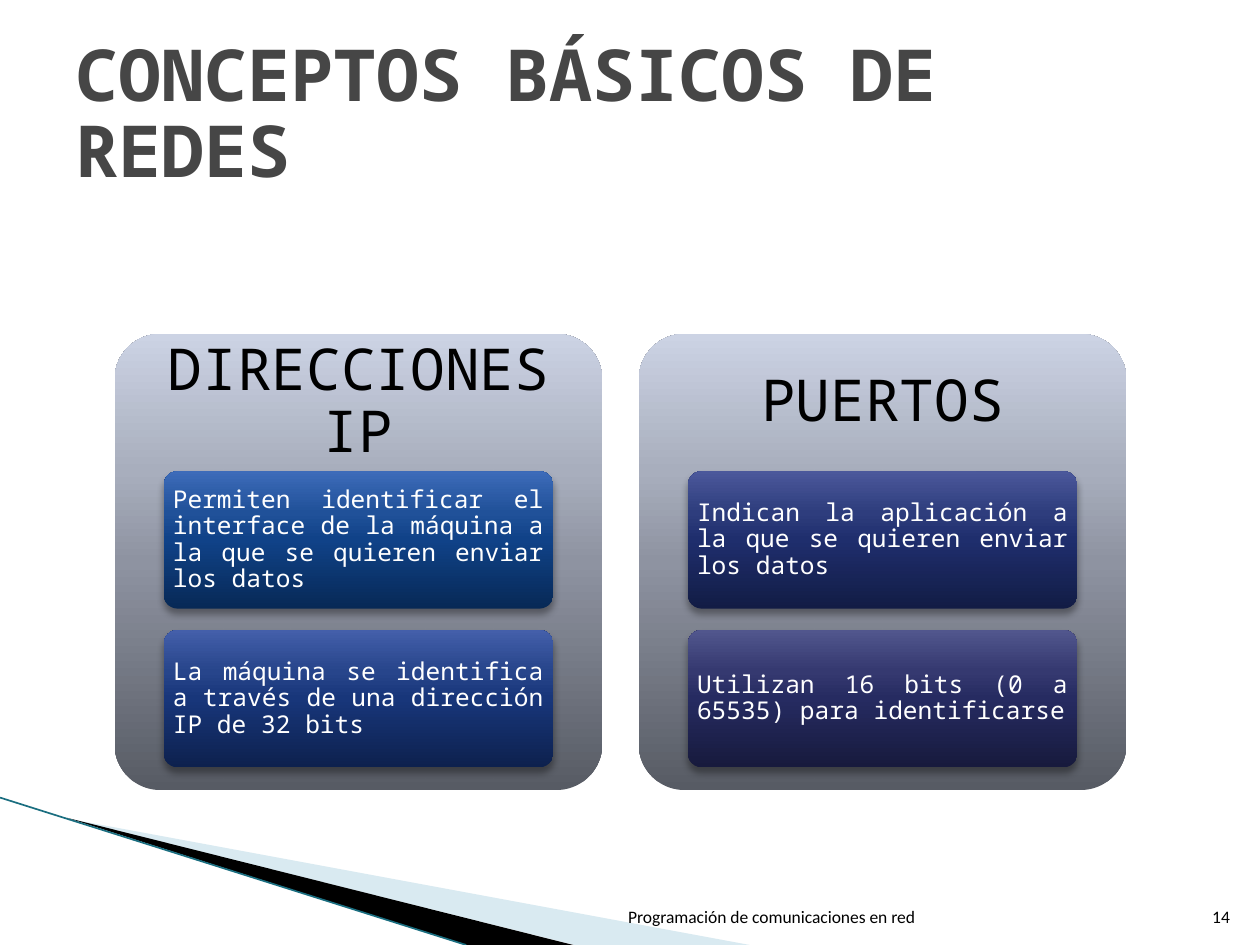
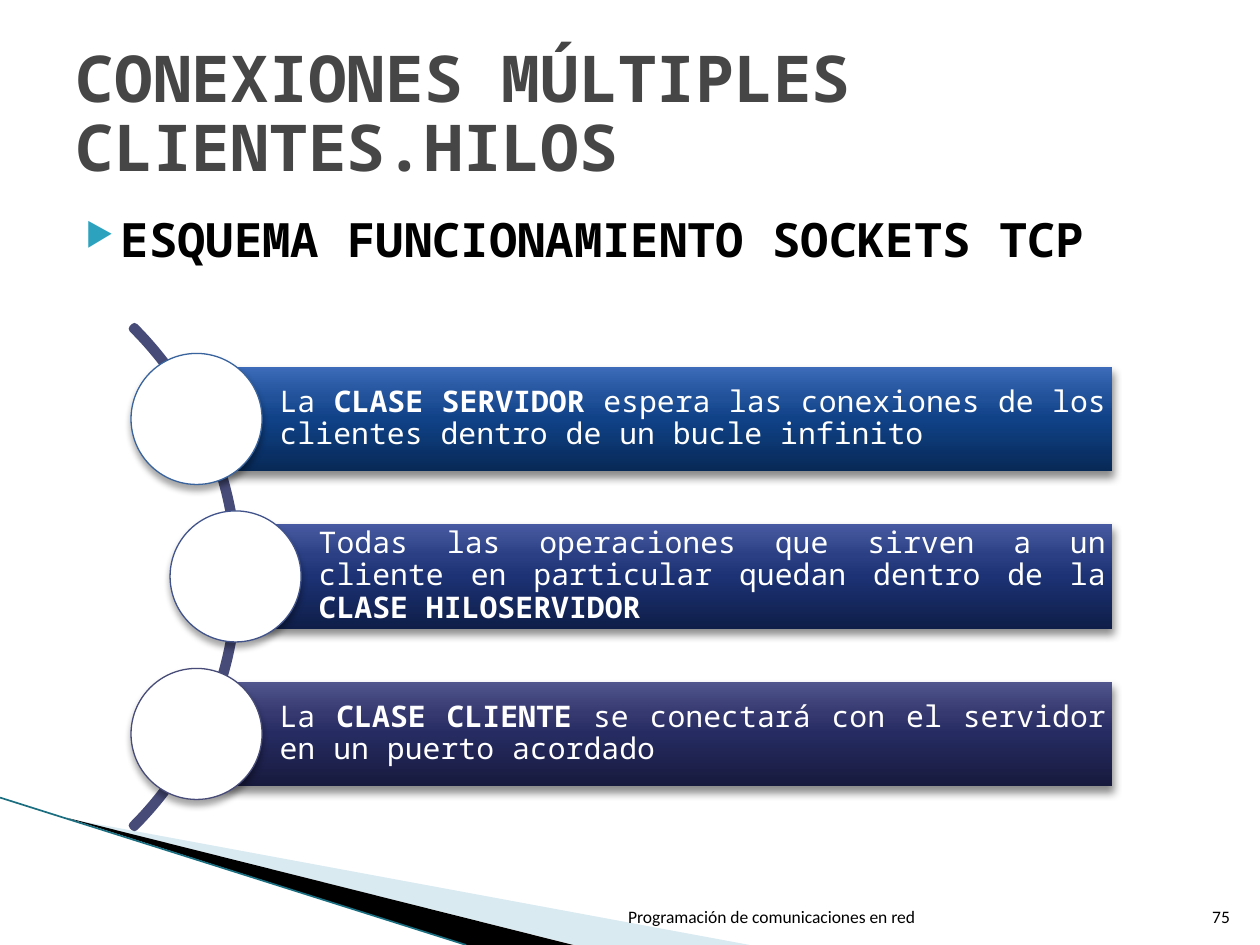
from typing import NamedTuple, Optional

from lxml.etree import SubElement
from pptx import Presentation
from pptx.dml.color import RGBColor
from pptx.enum.shapes import MSO_CONNECTOR, MSO_SHAPE
from pptx.enum.text import MSO_ANCHOR, MSO_AUTO_SIZE, PP_ALIGN
from pptx.oxml.ns import qn
from pptx.util import Inches, Pt

# Grid: 100 columns by 75 rows
SLIDE_WIDTH, SLIDE_HEIGHT = Inches(10), Inches(7.5)
COLUMN, ROW = SLIDE_WIDTH / 100, SLIDE_HEIGHT / 75

MONO, SANS = "Noto Sans Mono", "Calibri"
BLACK = RGBColor(0x00, 0x00, 0x00)
WHITE = RGBColor(0xFF, 0xFF, 0xFF)
TITLE_GRAY = RGBColor(0x46, 0x46, 0x46)
BULLET_TEAL = RGBColor(0x2D, 0xA2, 0xBF)
BAND_BLUE = RGBColor(0xA0, 0xCB, 0xDC)
BAND_EDGE = RGBColor(0x1A, 0x6E, 0x80)
ARC_VIOLET = RGBColor(0x47, 0x4B, 0x78)
RING_BLUE = RGBColor(0x39, 0x63, 0x9D)
RING_INDIGO = RGBColor(0x41, 0x53, 0x8A)

# Gradients run from the bottom edge to the top edge
STOP_POSITIONS = (0, 50, 70, 100)


def gradient(*colors: str) -> tuple[RGBColor, ...]:
    return tuple(RGBColor.from_string(color) for color in colors)


PANEL_GRAY = gradient("575B64", "8E93A1", "A8AEBD", "CCD3E4")
BLUE = gradient("072956", "104288", "205199", "3D6BB9")
ROYAL = gradient("0D214E", "18367A", "27458B", "445FAA")
INDIGO = gradient("0F1E49", "1C3274", "2B4084", "485BA2")
NAVY = gradient("121C45", "1F2E6D", "2E3D7D", "4B589B")
VIOLET = gradient("171A3D", "262B61", "353970", "51568D")


class Box(NamedTuple):
    """Place on the grid, in columns and rows."""
    left: float
    top: float
    width: float
    height: float

    def emu(self) -> tuple[int, int, int, int]:
        return (round(self.left * COLUMN), round(self.top * ROW),
                round(self.width * COLUMN), round(self.height * ROW))


class TextStyle(NamedTuple):
    size: float
    color: RGBColor
    alignment: PP_ALIGN
    anchor: MSO_ANCHOR
    font: str = MONO
    bold: Optional[bool] = None
    line_spacing: Optional[float] = None
    insets: tuple[float, float, float, float] = (0.1, 0.05, 0.1, 0.05)


class Shadow(NamedTuple):
    opacity: int
    blur: float
    distance: float


class Run(NamedTuple):
    text: str
    bold: bool = False


class Card(NamedTuple):
    text: str
    colors: tuple[RGBColor, ...]


class Panel(NamedTuple):
    heading: str
    cards: tuple[Card, ...]


class Step(NamedTuple):
    runs: tuple[Run, ...]
    colors: tuple[RGBColor, ...]
    ring: RGBColor
    left: float


TITLE_STYLE = TextStyle(41, TITLE_GRAY, PP_ALIGN.LEFT, MSO_ANCHOR.MIDDLE,
                        bold=True, line_spacing=0.88)
FOOTER_STYLE = TextStyle(10, BLACK, PP_ALIGN.RIGHT, MSO_ANCHOR.BOTTOM, SANS)
BODY_STYLE = TextStyle(27, BLACK, PP_ALIGN.JUSTIFY, MSO_ANCHOR.TOP, bold=True)
HEADING_STYLE = TextStyle(33, BLACK, PP_ALIGN.CENTER, MSO_ANCHOR.MIDDLE,
                          line_spacing=0.9, insets=(0.14,) * 4)
CARD_STYLE = TextStyle(14, WHITE, PP_ALIGN.JUSTIFY, MSO_ANCHOR.MIDDLE,
                       line_spacing=0.9, insets=(0.04, 0.03, 0.04, 0.03))
STEP_STYLE = TextStyle(17, WHITE, PP_ALIGN.JUSTIFY, MSO_ANCHOR.MIDDLE,
                       line_spacing=0.9, insets=(0.66, 0.05, 0.05, 0.05))
SOFT_SHADOW = Shadow(35, 4, 3)
BAR_SHADOW = Shadow(45, 5, 3)

PANELS = (
    Panel("DIRECCIONES IP", (
        Card("Permiten identificar el interface de la máquina a la que se "
             "quieren enviar los datos", BLUE),
        Card("La máquina se identifica a través de una dirección IP de 32 bits",
             ROYAL))),
    Panel("PUERTOS", (
        Card("Indican la aplicación a la que se quieren enviar los datos", NAVY),
        Card("Utilizan 16 bits (0 a 65535) para identificarse", VIOLET))),
)

STEPS = (
    Step((Run("La "), Run("CLASE SERVIDOR ", True),
          Run("espera las conexiones de los clientes dentro de un bucle infinito")),
         BLUE, RING_BLUE, 15.6),
    Step((Run("Todas las operaciones que sirven a un cliente en particular "
              "quedan dentro de la "), Run("CLASE HILOSERVIDOR", True)),
         INDIGO, RING_INDIGO, 18.7),
    Step((Run("La "), Run("CLASE CLIENTE ", True),
          Run("se conectará con el servidor en un puerto acordado")),
         VIOLET, ARC_VIOLET, 15.6),
)


# Drawing helpers
def write(shape, runs: tuple[Run, ...], style: TextStyle):
    frame = shape.text_frame
    frame.word_wrap = True
    frame.auto_size = MSO_AUTO_SIZE.NONE
    frame.vertical_anchor = style.anchor
    (frame.margin_left, frame.margin_top,
     frame.margin_right, frame.margin_bottom) = map(Inches, style.insets)
    paragraph = frame.paragraphs[0]
    paragraph.alignment = style.alignment
    if style.line_spacing:
        paragraph.line_spacing = style.line_spacing
    font = paragraph.font
    font.name, font.size, font.bold = style.font, Pt(style.size), style.bold
    font.color.rgb = style.color
    for text, bold in runs:
        run = paragraph.add_run()
        run.text = text
        if bold:
            run.font.bold = True
    return paragraph


def add_text(slide, box: Box, text: str, style: TextStyle):
    return write(slide.shapes.add_textbox(*box.emu()), (Run(text),), style)


def add_plain_shape(slide, kind: MSO_SHAPE, box: Box):
    shape = slide.shapes.add_shape(kind, *box.emu())
    shape.shadow.inherit = False
    shape.line.fill.background()
    return shape


def set_alpha(color_element, percent: int) -> None:
    SubElement(color_element, qn("a:alpha"), val=str(percent * 1000))


def set_gradient(shape, colors: tuple[RGBColor, ...]) -> None:
    shape.fill.gradient()
    fill = shape._element.spPr.find(qn("a:gradFill"))
    for child in list(fill):
        fill.remove(child)
    stops = SubElement(fill, qn("a:gsLst"))
    for position, color in zip(STOP_POSITIONS, colors):
        stop = SubElement(stops, qn("a:gs"), pos=str(position * 1000))
        SubElement(stop, qn("a:srgbClr"), val=str(color))
    SubElement(fill, qn("a:lin"), ang=str(270 * 60000), scaled="0")


def set_shadow(shape, shadow: Shadow) -> None:
    effects = shape._element.spPr.find(qn("a:effectLst"))
    outer = SubElement(effects, qn("a:outerShdw"), blurRad=str(Pt(shadow.blur)),
                       dist=str(Pt(shadow.distance)), dir=str(90 * 60000),
                       rotWithShape="0")
    set_alpha(SubElement(outer, qn("a:srgbClr"), val=str(BLACK)), shadow.opacity)


def add_band(slide, points: tuple[tuple[float, float], ...], color: RGBColor):
    corners = [(round(x * COLUMN), round(y * ROW)) for x, y in points]
    builder = slide.shapes.build_freeform(*corners[0])
    builder.add_line_segments(corners[1:], close=True)
    band = builder.convert_to_shape()
    band.shadow.inherit = False
    band.fill.solid()
    band.fill.fore_color.rgb = color
    band.line.fill.background()
    return band


# Parts shared by the slides
def add_base_slide(presentation, title: str, title_size: float, number: int):
    slide = presentation.slides.add_slide(presentation.slide_layouts[5])
    placeholder = slide.shapes.title
    (placeholder.left, placeholder.top,
     placeholder.width, placeholder.height) = Box(5, 3, 90, 12.5).emu()
    write(placeholder, (Run(title),), TITLE_STYLE._replace(size=title_size))

    # Corner bands
    pale = add_band(slide, ((5.5, 65), (59.5, 75), (45.6, 75)), BAND_BLUE)
    set_alpha(pale._element.spPr.find(f".//{qn('a:srgbClr')}"), 40)
    add_band(slide, ((5.3, 64.9), (45.5, 75), (37, 75)), BLACK)
    edge = slide.shapes.add_connector(
        MSO_CONNECTOR.STRAIGHT, 0, round(63.3 * ROW), round(37 * COLUMN), SLIDE_HEIGHT)
    edge.line.color.rgb = BAND_EDGE
    edge.line.width = Pt(0.95)
    SubElement(edge._element.spPr, qn("a:effectLst"))

    # Footer
    add_text(slide, Box(47.9, 70.1, 25.7, 4),
             "Programación de comunicaciones en red", FOOTER_STYLE)
    add_text(slide, Box(94.6, 70.1, 4, 4), str(number), FOOTER_STYLE)
    return slide


# Slide 14: two panels of cards
def add_panel(slide, box: Box, panel: Panel) -> None:
    card_height, card_pitch, card_inset = 10.9, 12.6, 3.9
    background = add_plain_shape(slide, MSO_SHAPE.ROUNDED_RECTANGLE, box)
    background.adjustments[0] = 0.1
    set_gradient(background, PANEL_GRAY)
    add_text(slide, box._replace(height=card_height), panel.heading, HEADING_STYLE)
    for row, (text, colors) in enumerate(panel.cards):
        card_box = Box(box.left + card_inset,
                       box.top + card_height + row * card_pitch,
                       box.width - 2 * card_inset, card_height)
        card = add_plain_shape(slide, MSO_SHAPE.ROUNDED_RECTANGLE, card_box)
        card.adjustments[0] = 0.1
        set_gradient(card, colors)
        set_shadow(card, SOFT_SHADOW)
        write(card, (Run(text),), CARD_STYLE)


def add_concepts_slide(presentation) -> None:
    slide = add_base_slide(presentation, "CONCEPTOS BÁSICOS DE REDES", 41, 14)
    for column, panel in enumerate(PANELS):
        add_panel(slide, Box(9.1 + column * 41.6, 26.5, 38.7, 36.2), panel)


# Slide 75: steps along an arc
def add_step(slide, middle: float, step: Step) -> None:
    bar_right, bar_height, diameter = 88.3, 8.3, 10.4
    bar = add_plain_shape(slide, MSO_SHAPE.RECTANGLE,
                          Box(step.left, middle - bar_height / 2,
                              bar_right - step.left, bar_height))
    set_gradient(bar, step.colors)
    set_shadow(bar, BAR_SHADOW)
    write(bar, step.runs, STEP_STYLE)
    circle = add_plain_shape(slide, MSO_SHAPE.OVAL,
                             Box(step.left - diameter / 2, middle - diameter / 2,
                                 diameter, diameter))
    circle.fill.solid()
    circle.fill.fore_color.rgb = WHITE
    circle.line.color.rgb = step.ring
    circle.line.width = Pt(0.75)
    set_shadow(circle, SOFT_SHADOW)


def add_threads_slide(presentation) -> None:
    slide = add_base_slide(presentation, "CONEXIONES MÚLTIPLES CLIENTES.HILOS", 36.9, 75)

    # Bulleted subtitle
    subtitle = add_text(slide, Box(4.6, 16.2, 90, 8),
                        "ESQUEMA FUNCIONAMIENTO SOCKETS TCP", BODY_STYLE)
    subtitle.space_before = Pt(4)
    properties = subtitle._p.get_or_add_pPr()
    properties.set("marL", str(Inches(0.4)))
    properties.set("indent", str(Inches(-0.28)))
    bullet_parts = [SubElement(properties, qn("a:buClr")),
                    SubElement(properties, qn("a:buSzPct"), val="68000"),
                    SubElement(properties, qn("a:buChar"), char="▶")]
    SubElement(bullet_parts[0], qn("a:srgbClr"), val=str(BULLET_TEAL))
    default_font = properties.find(qn("a:defRPr"))
    for part in bullet_parts:
        default_font.addprevious(part)

    # Arc from 315 to 45 degrees
    arc = add_plain_shape(slide, MSO_SHAPE.BLOCK_ARC, Box(-37.3, 17.7, 56.2, 56.2))
    for index, value in enumerate((189, 27, 0.004)):
        arc.adjustments[index] = value
    arc.fill.background()
    arc.line.color.rgb = ARC_VIOLET
    arc.line.width = Pt(4.33)

    for row, step in enumerate(STEPS):
        add_step(slide, 33.25 + row * 12.5, step)


def main() -> None:
    presentation = Presentation()
    presentation.slide_width, presentation.slide_height = SLIDE_WIDTH, SLIDE_HEIGHT
    add_concepts_slide(presentation)
    add_threads_slide(presentation)
    presentation.save("out.pptx")


if __name__ == "__main__":
    main()
